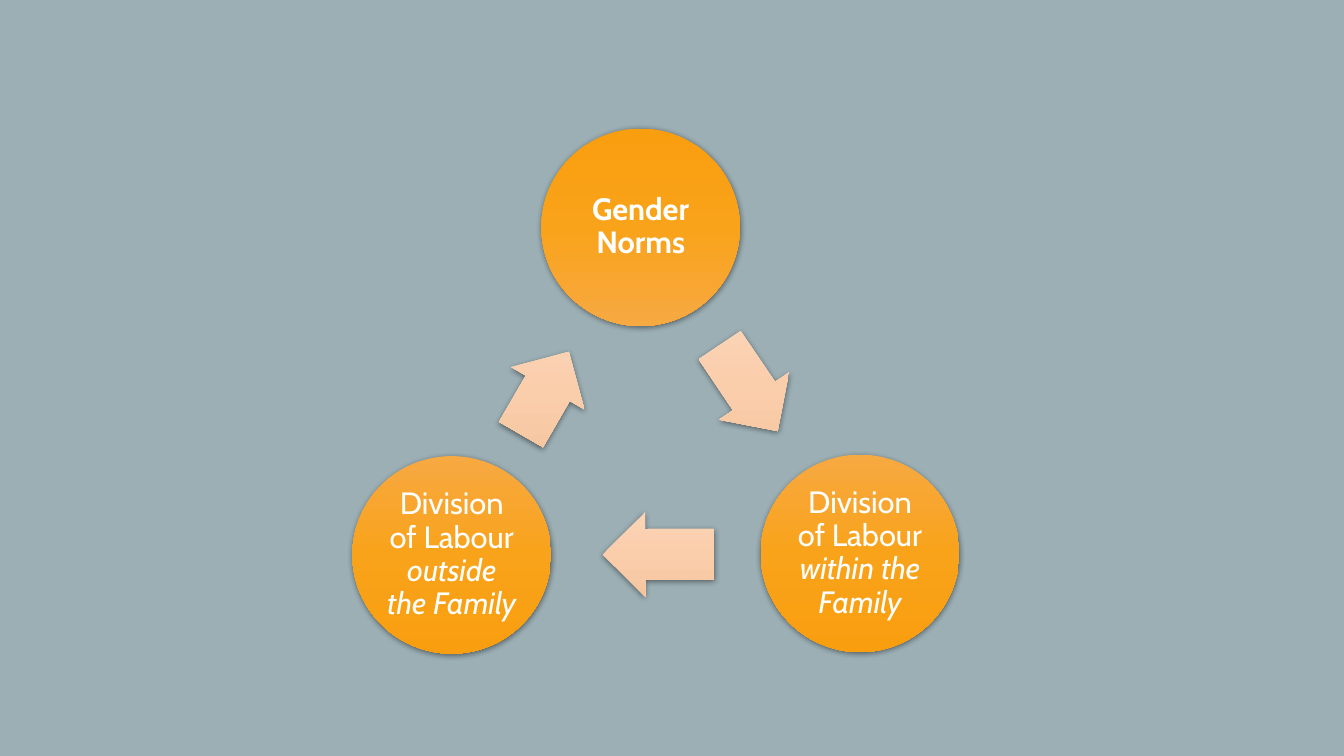
import copy

import pptx
import pptx.dml.color
import pptx.enum.shapes
import pptx.enum.text
import pptx.oxml
import pptx.oxml.ns
import pptx.util

WIDE = pptx.util.Inches(13.33)
HIGH = pptx.util.Inches(7.5)
FONT = "Cabin"
HUES = {"back": "9BAFB5", "text": "FFFFFF", "shade": "000000"}
ORANGE = ("F7A942", "F9A31A", "F99E0F")
PEACH = ("FAD4B7", "FBCEAB", "F5C59F")
KINDS = pptx.enum.shapes.MSO_SHAPE

# Centres and sizes are in hundredths of the slide's width and height.
DISC = (14.78, 26.13)
THICK = 11.2
DISCS = [
    (47.67, 30.07, ORANGE[::-1], [("Gender Norms", True, False)]),
    (63.99, 73.2, ORANGE, [("Division of Labour ", False, False),
                           ("within the Family", False, True)]),
    (33.61, 73.4, ORANGE, [("Division of Labour ", False, False),
                           ("outside the Family", False, True)]),
]
ARROWS = [
    (55.7, 51.33, 7.73, 56),
    (48.99, 73.33, 8.25, 179.8),
    (40.55, 52, 7.13, 300),
]


def tint(name):
    return pptx.dml.color.RGBColor.from_string(name)


def shade(shape):
    """Give the shape a soft shadow that falls straight down."""
    shape.shadow.inherit = False
    space = pptx.oxml.ns.nsdecls("a")
    glow = pptx.oxml.parse_xml(
        f'<a:outerShdw {space} blurRad="{pptx.util.Pt(4.4)}" '
        f'dist="{pptx.util.Pt(1.2)}" dir="5400000" rotWithShape="0">'
        f'<a:srgbClr val="{HUES["shade"]}"><a:alpha val="45000"/></a:srgbClr>'
        '</a:outerShdw>')
    shape._element.spPr.find(pptx.oxml.ns.qn("a:effectLst")).append(glow)


def blend(shape, hues):
    """Fill from top to bottom, whichever way the shape is turned."""
    shape.fill.gradient()
    shape.fill.gradient_angle = 270
    grad = shape._element.spPr.find(pptx.oxml.ns.qn("a:gradFill"))
    grad.set("rotWithShape", "0")
    stops = grad.find(pptx.oxml.ns.qn("a:gsLst"))
    stops.append(copy.deepcopy(stops[0]))
    for stop, hue, place in zip(shape.fill.gradient_stops, hues, (0, 0.5, 1)):
        stop.color.rgb = tint(hue)
        stop.position = place


def draw(slide, kind, x, y, size, hues):
    """Add a shape of the given size centred on x, y."""
    w, h = size
    shape = slide.shapes.add_shape(
        kind, round((x - w / 2) * WIDE / 100), round((y - h / 2) * HIGH / 100),
        round(w * WIDE / 100), round(h * HIGH / 100))
    shape.line.fill.background()
    blend(shape, hues)
    shade(shape)
    return shape


def write(shape, parts):
    frame = shape.text_frame
    frame.word_wrap = True
    frame.vertical_anchor = pptx.enum.text.MSO_ANCHOR.MIDDLE
    frame.margin_left = frame.margin_right = pptx.util.Inches(0.03)
    frame.margin_top = frame.margin_bottom = pptx.util.Inches(0.03)
    para = frame.paragraphs[0]
    para.alignment = pptx.enum.text.PP_ALIGN.CENTER
    para.line_spacing = 0.9
    for words, bold, slant in parts:
        run = para.add_run()
        run.text = words
        run.font.name = FONT
        run.font.size = pptx.util.Pt(22)
        run.font.bold = bold
        run.font.italic = slant
        run.font.color.rgb = tint(HUES["text"])


def add_disc(slide, x, y, hues, parts):
    write(draw(slide, KINDS.OVAL, x, y, DISC, hues), parts)


def add_arrow(slide, x, y, length, turn):
    arrow = draw(slide, KINDS.RIGHT_ARROW, x, y, (length, THICK), PEACH)
    arrow.adjustments[0] = 0.6
    arrow.adjustments[1] = 0.5
    arrow.rotation = turn


def main():
    deck = pptx.Presentation()
    deck.slide_width, deck.slide_height = WIDE, HIGH
    slide = deck.slides.add_slide(deck.slide_layouts[6])
    slide.background.fill.solid()
    slide.background.fill.fore_color.rgb = tint(HUES["back"])
    for disc, arrow in zip(DISCS, ARROWS):
        add_disc(slide, *disc)
        add_arrow(slide, *arrow)
    deck.save("out.pptx")


if __name__ == "__main__":
    main()
